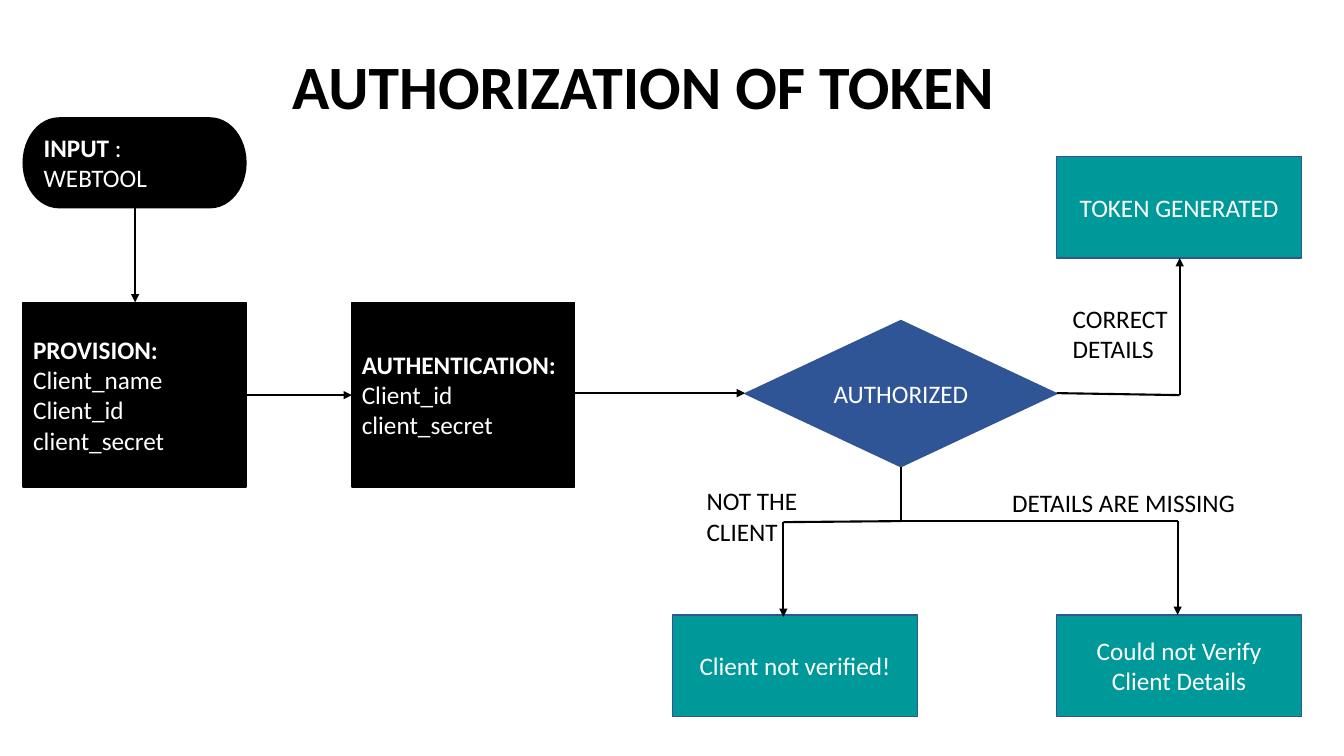
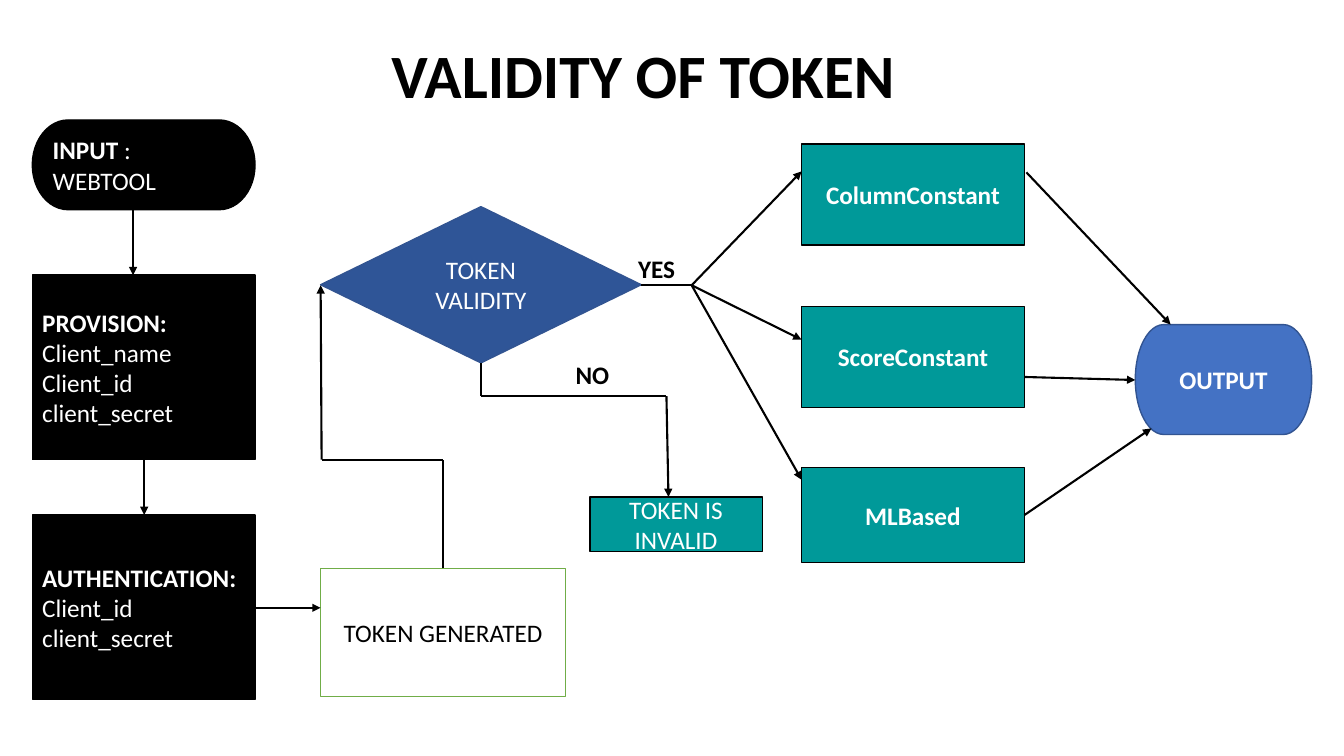
from dataclasses import dataclass

from lxml import etree
from pptx import Presentation
from pptx.dml.color import RGBColor
from pptx.enum.shapes import MSO_CONNECTOR, MSO_SHAPE
from pptx.enum.text import MSO_ANCHOR, PP_ALIGN
from pptx.oxml.ns import qn
from pptx.util import Emu, Pt

PX = 9144  # EMU in one px, 100 px to the inch
WIDTH, HEIGHT = 1333, 750
FONT = "Calibri"
BLACK, WHITE, TEAL, NAVY = "000000", "FFFFFF", "009999", "2F5597"
BLUE, EDGE, GREEN = "4472C4", "325491", "70AD47"

LEFT, CENTER = PP_ALIGN.LEFT, PP_ALIGN.CENTER
TOP, MIDDLE = MSO_ANCHOR.TOP, MSO_ANCHOR.MIDDLE
STRAIGHT = MSO_CONNECTOR.STRAIGHT
PROCESS = MSO_SHAPE.FLOWCHART_PROCESS
DECISION = MSO_SHAPE.FLOWCHART_DECISION
TERMINATOR = MSO_SHAPE.FLOWCHART_TERMINATOR


@dataclass(frozen=True)
class Look:
    fill: str
    line: str
    color: str = WHITE
    align: PP_ALIGN = CENTER


DARK = Look(BLACK, BLACK, align=LEFT)
RESULT = Look(TEAL, EDGE)
MODEL = Look(TEAL, BLACK)
CHOICE = Look(NAVY, EDGE)
OUTPUT = Look(BLUE, EDGE)
TOKEN = Look(WHITE, GREEN, BLACK)


@dataclass(frozen=True)
class Node:
    """A flowchart shape; lead is the bold start of its text."""
    kind: MSO_SHAPE
    x: int
    y: int
    w: int
    h: int
    look: Look
    text: str = ""
    lead: str = ""


@dataclass(frozen=True)
class Label:
    x: int
    y: int
    w: int
    h: int
    text: str = ""
    lead: str = ""


@dataclass(frozen=True)
class Title:
    x: int
    y: int
    text: str
    align: PP_ALIGN


@dataclass(frozen=True)
class Wire:
    """A chain of straight lines through the points."""
    points: tuple[tuple[int, int], ...]
    arrow: bool = True


@dataclass(frozen=True)
class Flow:
    title: Title
    nodes: list[Node]
    labels: list[Label]
    wires: list[Wire]


def rgb(color: str) -> RGBColor:
    return RGBColor.from_string(color)


def box(*lengths: int) -> list[Emu]:
    return [Emu(n * PX) for n in lengths]


def write(tf, text: str, lead: str, color: str, align: PP_ALIGN,
          anchor: MSO_ANCHOR, size: int = 18, spacing: float = 1.0) -> None:
    for name, value in {"word_wrap": True, "vertical_anchor": anchor}.items():
        setattr(tf, name, value)
    for i, line in enumerate(text.split("\n")):
        p = tf.paragraphs[0] if i == 0 else tf.add_paragraph()
        for name, value in {"alignment": align, "line_spacing": spacing}.items():
            setattr(p, name, value)
        parts = [(lead, True)] if i == 0 else []
        for part, bold in parts + [(line, False)]:
            if part:
                r = p.add_run()
                r.text = part
                font = {"name": FONT, "size": Pt(size), "bold": bold}
                for name, value in font.items():
                    setattr(r.font, name, value)
                r.font.color.rgb = rgb(color)


def draw_title(s, title: Title) -> None:
    tb = s.shapes.add_textbox(*box(title.x, title.y, 1150, 145))
    write(tb.text_frame, "", title.text, BLACK, title.align, MIDDLE, 44, 0.9)


def draw_node(s, node: Node) -> None:
    sp = s.shapes.add_shape(node.kind, *box(node.x, node.y, node.w, node.h))
    sp.shadow.inherit = False
    sp.fill.solid()
    sp.fill.fore_color.rgb = rgb(node.look.fill)
    sp.line.color.rgb = rgb(node.look.line)
    sp.line.width = Pt(1)
    write(sp.text_frame, node.text, node.lead, node.look.color,
          node.look.align, MIDDLE)


def draw_label(s, label: Label) -> None:
    tb = s.shapes.add_textbox(*box(label.x, label.y, label.w, label.h))
    write(tb.text_frame, label.text, label.lead, BLACK, LEFT, TOP)


def draw_wire(s, wire: Wire) -> None:
    last = len(wire.points) - 2
    for i, (start, end) in enumerate(zip(wire.points, wire.points[1:])):
        cx = s.shapes.add_connector(STRAIGHT, *box(*start, *end))
        cx.line.color.rgb = rgb(BLACK)
        cx.line.width = Pt(1.5)
        if wire.arrow and i == last:
            ln = cx.line._get_or_add_ln()
            etree.SubElement(ln, qn("a:tailEnd"), type="triangle")
        etree.SubElement(cx._element.spPr, qn("a:effectLst"))


def draw_flow(prs, flow: Flow) -> None:
    s = prs.slides.add_slide(prs.slide_layouts[6])
    draw_title(s, flow.title)
    for draw, items in ((draw_node, flow.nodes), (draw_label, flow.labels),
                        (draw_wire, flow.wires)):
        for item in items:
            draw(s, item)


# Steps that both slides begin with
def input_node(x: int, y: int) -> Node:
    return Node(TERMINATOR, x, y, 221, 89, DARK, " :\nWEBTOOL", "INPUT")


def provision_node(x: int, y: int) -> Node:
    return Node(PROCESS, x, y, 221, 183, DARK,
                "\nClient_name\nClient_id\nclient_secret", "PROVISION:")


def authentication_node(x: int, y: int) -> Node:
    return Node(PROCESS, x, y, 221, 183, DARK,
                "\nClient_id\nclient_secret", "AUTHENTICATION:")


def result_node(x: int, y: int, text: str) -> Node:
    return Node(PROCESS, x, y, 243, 101, RESULT, text)


def model_node(y: int, h: int, name: str) -> Node:
    return Node(PROCESS, 795, y, 221, h, MODEL, lead=name)


AUTHORIZATION = Flow(
    Title(280, 16, "AUTHORIZATION OF TOKEN", LEFT),
    [
        input_node(23, 117),
        provision_node(23, 300),
        authentication_node(349, 300),
        Node(DECISION, 739, 318, 309, 145, CHOICE, "AUTHORIZED"),
        result_node(667, 610, "Client not verified!"),
        result_node(1048, 610, "Could not Verify Client Details"),
        result_node(1048, 155, "TOKEN GENERATED"),
    ],
    [
        Label(691, 477, 116, 71, "NOT THE CLIENT"),
        Label(994, 479, 243, 40, "DETAILS ARE MISSING"),
        Label(1054, 296, 149, 71, "CORRECT DETAILS"),
    ],
    [
        Wire(((134, 206), (134, 300))),
        Wire(((244, 392), (349, 392))),
        Wire(((570, 390), (739, 390))),
        Wire(((1048, 390), (1170, 392), (1170, 256))),
        Wire(((894, 463), (894, 517), (777, 518), (777, 612))),
        Wire(((894, 517), (1168, 517), (1168, 610))),
    ],
)

FORK = (686, 283)
VALIDITY = Flow(
    Title(63, 5, "VALIDITY OF TOKEN", CENTER),
    [
        input_node(32, 119),
        provision_node(32, 273),
        authentication_node(32, 511),
        Node(PROCESS, 318, 564, 243, 127, TOKEN, "TOKEN GENERATED"),
        Node(DECISION, 318, 205, 318, 155, CHOICE, "TOKEN VALIDITY"),
        model_node(143, 100, "ColumnConstant"),
        model_node(304, 100, "ScoreConstant"),
        model_node(464, 94, "MLBased"),
        Node(PROCESS, 585, 493, 171, 54, MODEL, "TOKEN IS INVALID"),
        Node(TERMINATOR, 1126, 322, 175, 109, OUTPUT, lead="OUTPUT"),
    ],
    [
        Label(623, 246, 84, 40, lead="YES"),
        Label(561, 352, 85, 71, lead="NO"),
    ],
    [
        Wire(((132, 208), (132, 273))),
        Wire(((143, 456), (143, 511))),
        Wire(((254, 603), (318, 603))),
        Wire(((439, 564), (439, 456), (319, 456), (318, 283))),
        Wire(((477, 360), (477, 393), (661, 393), (663, 493))),
        # From the decision to the three models
        Wire(((636, 283), FORK), arrow=False),
        *(Wire((FORK, (795, y))) for y in (170, 337, 476)),
        # From the models to the output
        Wire(((1018, 171), (1161, 322))),
        Wire(((1016, 374), (1126, 377))),
        Wire(((1016, 511), (1142, 425))),
    ],
)


def main() -> None:
    prs = Presentation()
    prs.slide_width, prs.slide_height = box(WIDTH, HEIGHT)
    for flow in (AUTHORIZATION, VALIDITY):
        draw_flow(prs, flow)
    prs.save("out.pptx")


if __name__ == "__main__":
    main()
